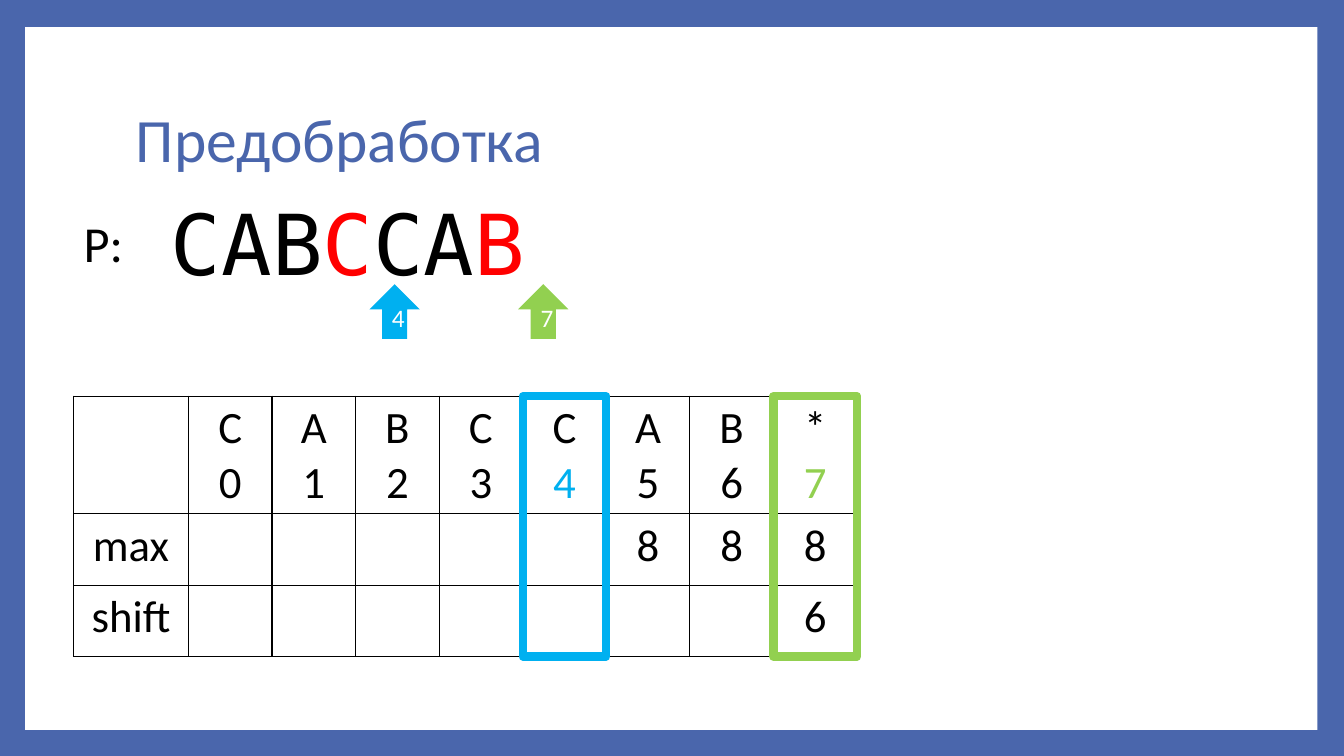
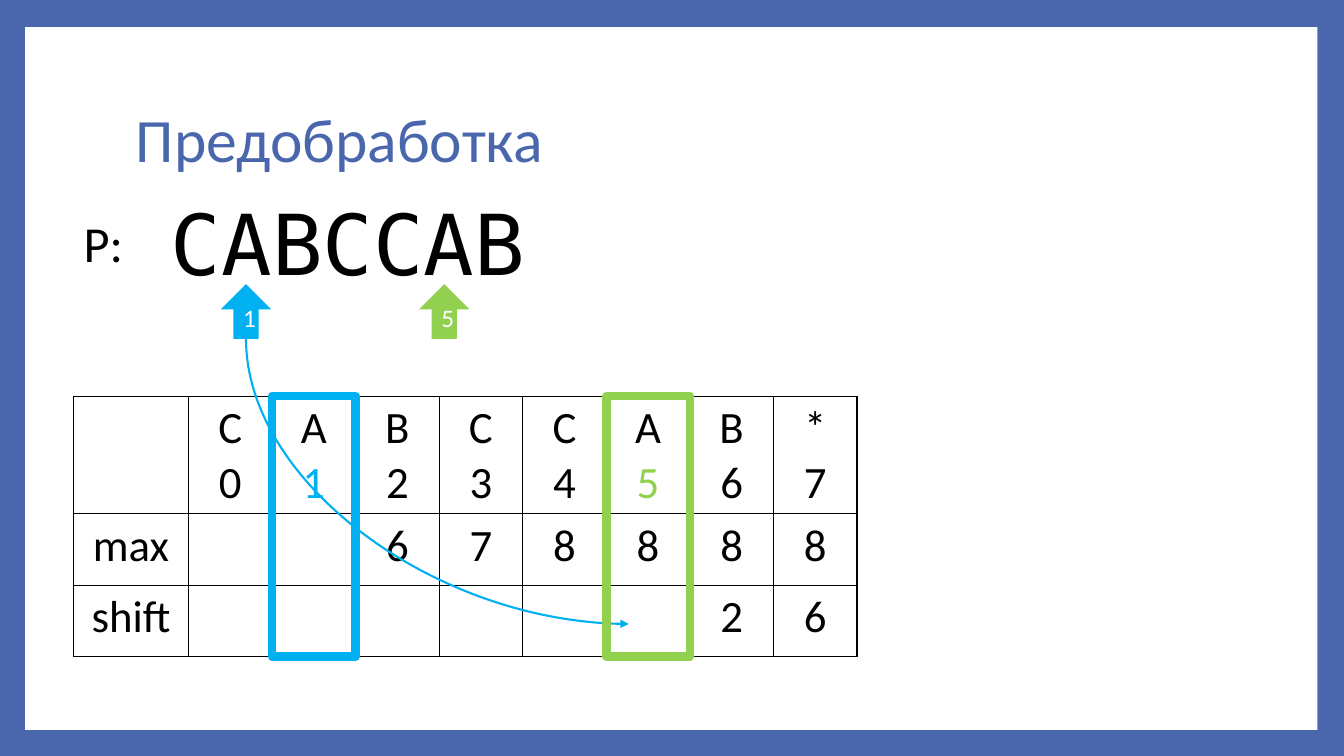
"""Build two slides on the preprocessing step of a string search."""
from lxml.etree import SubElement
from pptx import Presentation
from pptx.dml.color import RGBColor
from pptx.enum.shapes import MSO_CONNECTOR, MSO_SHAPE
from pptx.enum.text import MSO_ANCHOR, PP_ALIGN
from pptx.oxml.ns import qn
from pptx.util import Pt

INK, WHITE, RED = "000000", "FFFFFF", "FF0000"
THEME, BLUE, GREEN = "4A66AC", "00B0F0", "92D050"
SANS, MONO = "Calibri", "DejaVu Sans Mono"
WIDE, HIGH = 960, 540
WORD = "CABCCAB"
LEFT, TOP = 52.6, 283
HEAD, COL = 82, 59.7
ROWS = [84, 51, 51]
STEP, MARK_X, MARK_Y = 35.4, 122.3, 203
MARK_W, MARK_H = 36, 39


def tint(code):
    return RGBColor.from_string(code)


def style(para, size, color=INK, face=SANS, align=None):
    para.font.size = Pt(size)
    para.font.name = face
    para.font.color.rgb = tint(color)
    para.alignment = align


def col_x(index):
    return LEFT + HEAD + index * COL


def mark_x(index):
    return MARK_X + index * STEP


def add_text(slide, box, text, size, **look):
    frame = slide.shapes.add_textbox(*map(Pt, box)).text_frame
    frame.word_wrap = True
    para = frame.paragraphs[0]
    para.text = text
    style(para, size, **look)
    return frame


def add_form(slide, kind, box, fill=None, line=None):
    form = slide.shapes.add_shape(kind, *map(Pt, box))
    form.shadow.inherit = False
    if fill:
        form.fill.solid()
        form.fill.fore_color.rgb = tint(fill)
    else:
        form.fill.background()
    if line:
        form.line.color.rgb = tint(line)
        form.line.width = Pt(6)
    else:
        form.line.fill.background()
    return form


def add_title(slide, text):
    frame = add_text(slide, (90, 48, 778, 107), text, 44, color=THEME)
    frame.vertical_anchor = MSO_ANCHOR.MIDDLE
    frame.paragraphs[0].line_spacing = 0.9


def add_word(slide, reds):
    frame = add_text(slide, (115, 133, 404, 80), "", 60, face=MONO)
    for index, sign in enumerate(WORD):
        run = frame.paragraphs[0].add_run()
        run.text = sign
        if index in reds:
            run.font.color.rgb = tint(RED)


def add_mark(slide, index, color):
    box = mark_x(index), MARK_Y, MARK_W, MARK_H
    mark = add_form(slide, MSO_SHAPE.UP_ARROW, box, fill=color)
    para = mark.text_frame.paragraphs[0]
    para.text = str(index)
    style(para, 18, WHITE, align=PP_ALIGN.CENTER)


def add_curve(slide, start, end, color):
    mid_x, mid_y = [(a + b) / 2 for a, b in zip(start, end)]
    half_w, half_h = (end[1] - start[1]) / 2, (end[0] - start[0]) / 2
    ends = mid_x + half_w, mid_y - half_h, mid_x - half_w, mid_y + half_h
    curve = slide.shapes.add_connector(MSO_CONNECTOR.CURVE, *map(Pt, ends))
    curve.line.color.rgb = tint(color)
    curve.line.width = Pt(1.5)
    props = curve._element.spPr
    props.find(qn("a:xfrm")).set("rot", "16200000")
    props.find(qn("a:prstGeom")).set("prst", "curvedConnector2")
    SubElement(props.find(qn("a:ln")), qn("a:tailEnd"), type="triangle")
    SubElement(props, qn("a:effectLst"))


def add_edge(cell):
    props = cell._tc.get_or_add_tcPr()
    for side in ("a:lnL", "a:lnR", "a:lnT", "a:lnB"):
        line = SubElement(props, qn(side), w=str(Pt(1)))
        fill = SubElement(line, qn("a:solidFill"))
        SubElement(fill, qn("a:srgbClr"), val=INK)


def fill_cell(cell, text, color=INK):
    add_edge(cell)
    cell.fill.background()
    cell.text = text
    for para in cell.text_frame.paragraphs:
        style(para, 32, align=PP_ALIGN.CENTER)
    style(para, 32, color, align=PP_ALIGN.CENTER)


def add_grid(slide, peak, shift, hues):
    signs = WORD + "*"
    count = len(signs)
    size = LEFT, TOP, HEAD + COL * count, sum(ROWS)
    grid = slide.shapes.add_table(3, count + 1, *map(Pt, size)).table
    grid.first_row = grid.horz_banding = False
    for row, high in zip(grid.rows, ROWS):
        row.height = Pt(high)
    for index, col in enumerate(grid.columns):
        col.width = Pt(COL if index else HEAD)
    for row, name in enumerate(["", "max", "shift"]):
        fill_cell(grid.cell(row, 0), name)
    for index, sign in enumerate(signs):
        cell = grid.cell(0, index + 1)
        fill_cell(cell, f"{sign}\n{index}", hues.get(index, INK))
        for row, data in enumerate([peak, shift], 1):
            fill_cell(grid.cell(row, index + 1), str(data.get(index, "")))


def add_step(deck, hues, peak, shift, reds=(), curve=False):
    slide = deck.slides.add_slide(deck.slide_layouts[6])
    add_form(slide, MSO_SHAPE.RECTANGLE, (18, 19.4, 923, 502), fill=WHITE)
    add_title(slide, "Предобработка")
    add_word(slide, reds)
    add_text(slide, (LEFT, 147.6, 48, 51), "P:", 36)
    for index, color in hues.items():
        add_mark(slide, index, color)
    add_grid(slide, peak, shift, hues)
    if curve:
        low, high = hues
        start = mark_x(low) + MARK_W / 2, MARK_Y + MARK_H
        add_curve(slide, start, (col_x(high) + 16, 445.7), BLUE)
    for index, color in hues.items():
        box = col_x(index), TOP, COL, sum(ROWS)
        add_form(slide, MSO_SHAPE.RECTANGLE, box, line=color)


def main():
    deck = Presentation()
    deck.slide_width, deck.slide_height = Pt(WIDE), Pt(HIGH)
    back = deck.slide_master.background.fill
    back.solid()
    back.fore_color.rgb = tint(THEME)
    add_step(deck, {4: BLUE, 7: GREEN}, {5: 8, 6: 8, 7: 8}, {7: 6}, reds=(3, 6))
    peak = {2: 6, 3: 7, 4: 8, 5: 8, 6: 8, 7: 8}
    add_step(deck, {1: BLUE, 5: GREEN}, peak, {6: 2, 7: 6}, curve=True)
    deck.save("out.pptx")


if __name__ == "__main__":
    main()
